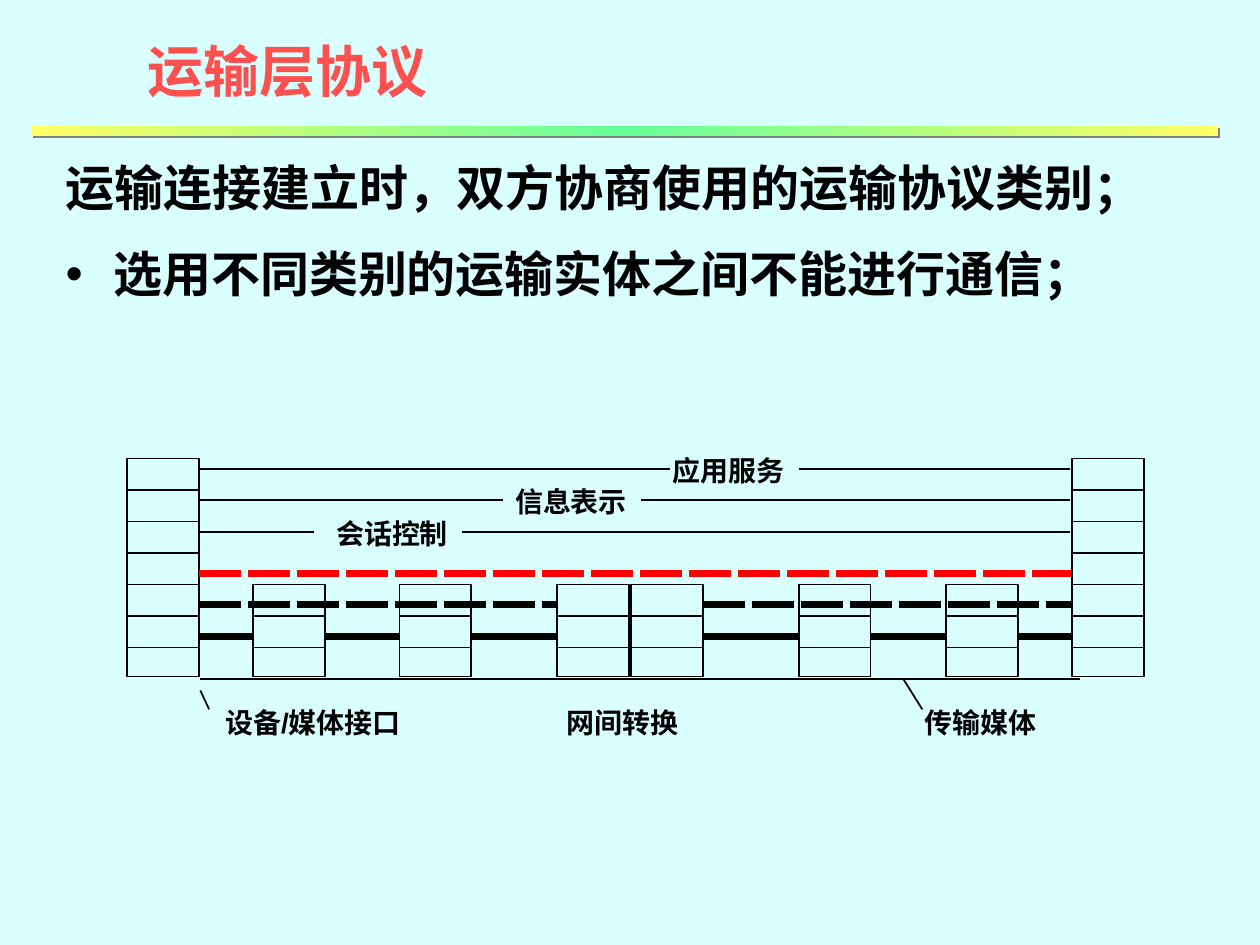
from dataclasses import dataclass

from lxml import etree
from pptx import Presentation
from pptx.dml.color import RGBColor
from pptx.enum.shapes import MSO_CONNECTOR, MSO_SHAPE
from pptx.enum.text import MSO_ANCHOR, MSO_AUTO_SIZE, PP_ALIGN
from pptx.oxml import parse_xml
from pptx.oxml.ns import qn
from pptx.util import Inches, Pt

RECT, LINE = MSO_SHAPE.RECTANGLE, MSO_CONNECTOR.STRAIGHT
LEFT, TOP = PP_ALIGN.LEFT, MSO_ANCHOR.TOP
FIXED = MSO_AUTO_SIZE.NONE
SANS, HAN = "Arial", "Noto Sans CJK SC"
BLACK, RED = "000000", "FF0000"
NS = 'xmlns:a="http://schemas.openxmlformats.org/drawingml/2006/main"'

STEP = 0.25            # height of one layer
WIDE = 0.57            # width of a stack
TALL = 3.64            # top of the end systems
BASE = 5.37            # foot of all stacks


@dataclass
class Stack:
    left: float
    layers: int


@dataclass
class Label:
    text: str
    left: float
    top: float
    width: float = 1.09


@dataclass
class Layer:
    label: Label
    y: float
    stop: float
    start: float


def color(code: str) -> RGBColor:
    return RGBColor.from_string(code)


def style(para, size: float, code: str = BLACK, face: str = SANS) -> None:
    para.alignment = LEFT
    font = para.font
    font.size, font.bold, font.name = Pt(size), True, face
    font.color.rgb = color(code)
    base = para._p.pPr.find(qn("a:defRPr"))
    etree.SubElement(base, qn("a:ea")).set("typeface", HAN)


def place(shape, left: float, top: float, width: float, height: float) -> None:
    shape.left, shape.top = Inches(left), Inches(top)
    shape.width, shape.height = Inches(width), Inches(height)


def draw_line(x1: float, y1: float, x2: float, y2: float,
              width: float = 1, code: str = BLACK, dash: bool = False) -> None:
    line = slide.shapes.add_connector(
        LINE, Inches(x1), Inches(y1), Inches(x2), Inches(y2))
    line.line.color.rgb = color(code)
    line.line.width = Pt(width)
    if dash:
        line.line._ln.append(parse_xml(
            f'<a:custDash {NS}><a:ds d="500000" sp="200000"/></a:custDash>'))
    if width > 1:
        line.line._ln.set("cap", "sq")
    etree.SubElement(line._element.spPr, qn("a:effectLst"))


def draw_stack(stack: Stack) -> None:
    top = TALL + (7 - stack.layers) * STEP
    box = slide.shapes.add_shape(RECT, Inches(stack.left), Inches(top),
                                 Inches(WIDE), Inches(BASE - top))
    box.shadow.inherit = False
    box.fill.background()
    box.line.color.rgb = color(BLACK)
    box.line.width = Pt(1)
    for i in range(1, stack.layers):
        y = top + i * STEP
        draw_line(stack.left, y, stack.left + WIDE, y)


def draw_label(label: Label) -> None:
    box = slide.shapes.add_textbox(Inches(label.left), Inches(label.top),
                                   Inches(label.width), Inches(0.36))
    box.text_frame.word_wrap = False
    para = box.text_frame.paragraphs[0]
    para.text = label.text
    style(para, 16)


def draw_bar() -> None:
    bar = slide.shapes.add_shape(RECT, Inches(0.25), Inches(1),
                                 Inches(9.42), Inches(0.08))
    bar.line.fill.background()
    stops = "".join(
        f'<a:gs pos="{pos}"><a:srgbClr val="{code}"/></a:gs>'
        for pos, code in ((0, "FFFF66"), (50000, "66FF99"), (100000, "FFFF66")))
    props = bar._element.spPr
    props.insert(2, parse_xml(
        f'<a:gradFill {NS}><a:gsLst>{stops}</a:gsLst>'
        '<a:lin ang="0" scaled="0"/></a:gradFill>'))
    props.append(parse_xml(
        f'<a:effectLst {NS}><a:outerShdw dist="17780" dir="2700000">'
        '<a:srgbClr val="808080"/></a:outerShdw></a:effectLst>'))


deck = Presentation()
deck.slide_width, deck.slide_height = Inches(10), Inches(7.5)
slide = deck.slides.add_slide(deck.slide_layouts[1])
slide.background.fill.solid()
slide.background.fill.fore_color.rgb = color("D9FFFF")

# Body text: a plain line, then a bullet
body = slide.placeholders[1]
place(body, 0.42, 1.25, 8.9, 2.27)
frame = body.text_frame
frame.auto_size, frame.vertical_anchor = FIXED, TOP
frame.text = ("运输连接建立时，双方协商使用的运输协议类别；\n"
              "选用不同类别的运输实体之间不能进行通信；")
lead, point = frame.paragraphs
for para in (lead, point):
    props = para._p.get_or_add_pPr()
    props.set("marL", str(Inches(0.38)))
    props.set("indent", str(Inches(-0.38)))
    para.line_spacing = 0.9
lead.space_before, lead.space_after = Pt(0), Pt(12.2)
point.space_before = Pt(7)
etree.SubElement(lead._p.pPr, qn("a:buNone"))
tint = etree.SubElement(point._p.pPr, qn("a:buClr"))
etree.SubElement(tint, qn("a:srgbClr")).set("val", BLACK)
etree.SubElement(point._p.pPr, qn("a:buChar")).set("char", "•")
for para in (lead, point):
    style(para, 28)

# Title and the rule below it
draw_bar()
title = slide.shapes.title
place(title, 1.07, 0.24, 2.6, 0.64)
frame = title.text_frame
frame.text = "运输层协议"
frame.word_wrap, frame.auto_size, frame.vertical_anchor = False, FIXED, TOP
style(frame.paragraphs[0], 32, "FF5050", HAN)

# End systems, then relays and the gateway pair
ends = [Stack(x, 7) for x in (1.01, 8.51)]
relays = [Stack(x, 3) for x in (2.01, 3.17, 6.34, 7.51, 4.42, 5.01)]
for stack in ends + relays:
    draw_stack(stack)
draw_line(1.59, 5.39, 8.57, 5.39)

# Data links join each neighbour except the gateway halves
row = sorted(s.left for s in ends + relays)
for left, right in zip(row, row[1:]):
    if right - left > 0.6:
        draw_line(left + 0.6, 5.05, right - 0.03, 5.05, 4)

# Network and transport links
for x1, x2, y, code in ((1.61, 4.39, 4.8, BLACK), (5.61, 8.47, 4.8, BLACK),
                        (1.61, 8.47, 4.55, RED)):
    draw_line(x1, y, x2, y, 4, code, True)

# Upper layers: a line broken by its label
for layer in (Layer(Label("会话控制", 2.57, 4.05), 4.22, 2.49, 3.67),
              Layer(Label("信息表示", 3.99, 3.8), 3.97, 3.99, 5.09),
              Layer(Label("应用服务", 5.24, 3.55), 3.72, 5.32, 6.34)):
    draw_label(layer.label)
    draw_line(1.59, layer.y, layer.stop, layer.y)
    draw_line(layer.start, layer.y, 8.49, layer.y)

# Notes under the diagram with their leaders
draw_line(1.59, 5.48, 1.66, 5.63)
draw_line(7.17, 5.39, 7.32, 5.63)
for label in (Label("设备/媒体接口", 1.69, 5.55, 1.7),
              Label("传输媒体", 7.24, 5.55), Label("网间转换", 4.4, 5.55)):
    draw_label(label)

deck.save("out.pptx")
